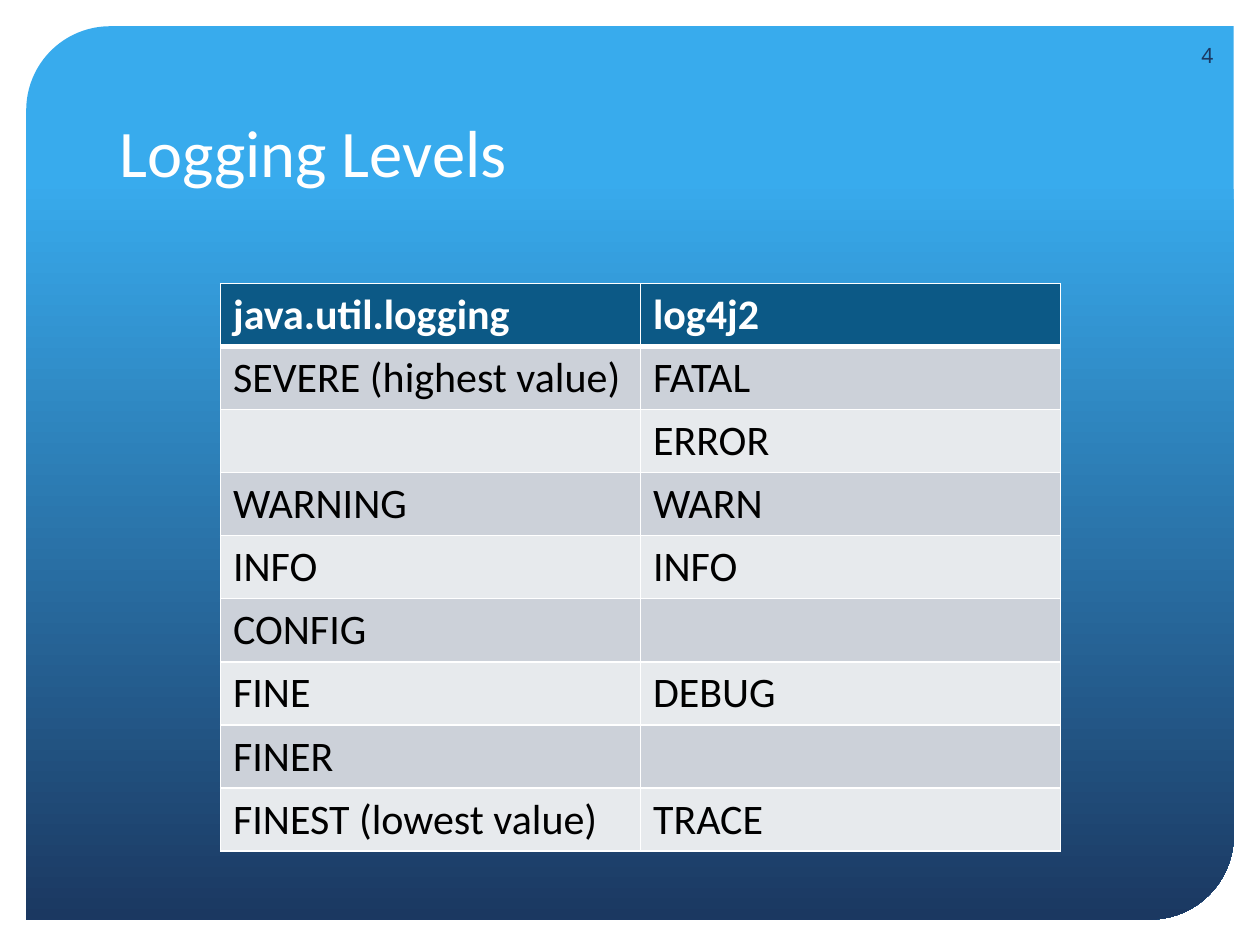
from lxml import etree
from pptx import Presentation
from pptx.dml.color import RGBColor
from pptx.enum.shapes import MSO_SHAPE
from pptx.enum.text import MSO_ANCHOR, PP_ALIGN
from pptx.oxml.ns import qn
from pptx.util import Pt

WHITE = RGBColor(0xFF, 0xFF, 0xFF)
BLACK = RGBColor(0, 0, 0)
SKY = RGBColor(0x38, 0xAB, 0xED)
NAVY = RGBColor(0x1B, 0x38, 0x61)
HEADER = RGBColor(0x0C, 0x59, 0x86)
BANDS = (RGBColor(0xCC, 0xD1, 0xD9), RGBColor(0xE7, 0xEA, 0xED))

LEVELS = [
    ("java.util.logging", "log4j2"),
    ("SEVERE (highest value)", "FATAL"),
    ("", "ERROR"),
    ("WARNING", "WARN"),
    ("INFO", "INFO"),
    ("CONFIG", ""),
    ("FINE", "DEBUG"),
    ("FINER", ""),
    ("FINEST (lowest value)", "TRACE"),
]


def write(frame, text, size, color, font="Calibri", bold=False, align=PP_ALIGN.LEFT):
    paragraph = frame.paragraphs[0]
    paragraph.alignment = align
    if text:
        run = paragraph.add_run()
        run.text = text
        run.font.name, run.font.size, run.font.bold = font, Pt(size), bold
        run.font.color.rgb = color


def add_panel(slide):
    panel = slide.shapes.add_shape(
        MSO_SHAPE.ROUND_2_DIAG_RECTANGLE, Pt(15), Pt(15), Pt(690), Pt(510.5))
    panel.adjustments[0], panel.adjustments[1] = 0.094, 0
    panel.shadow.inherit = False
    panel.line.fill.background()
    panel.fill.gradient()
    panel.fill.gradient_angle = 270
    for stop, color, position in zip(panel.fill.gradient_stops, (SKY, NAVY), (0.17, 1)):
        stop.color.rgb, stop.position = color, position
    # Send behind the title
    panel.element.getparent().insert(2, panel.element)


def add_title(slide, text):
    title = slide.shapes.title
    title.left, title.top, title.width, title.height = Pt(61), Pt(30), Pt(597), Pt(82.5)
    title.text_frame.vertical_anchor = MSO_ANCHOR.BOTTOM
    write(title.text_frame, text, 38, WHITE)


def add_page_number(slide, text):
    box = slide.shapes.add_textbox(Pt(661.5), Pt(17.5), Pt(39), Pt(28.5))
    box.text_frame.word_wrap = True
    box.text_frame.vertical_anchor = MSO_ANCHOR.MIDDLE
    write(box.text_frame, text, 12, NAVY, "Noto Sans", align=PP_ALIGN.RIGHT)


def set_borders(cell, widths):
    """Draw white borders; widths maps each side tag to points."""
    properties = cell._tc.get_or_add_tcPr()
    for index, (side, width) in enumerate(widths.items()):
        line = etree.Element(qn("a:" + side), w=str(Pt(width)))
        fill = etree.SubElement(line, qn("a:solidFill"))
        etree.SubElement(fill, qn("a:srgbClr"), val=str(WHITE))
        properties.insert(index, line)


def add_table(slide, rows):
    table = slide.shapes.add_table(
        len(rows), 2, Pt(126), Pt(162), Pt(480), Pt(29.2 * len(rows))).table
    for r, row in enumerate(rows):
        header = r == 0
        for c, text in enumerate(row):
            cell = table.cell(r, c)
            cell.fill.solid()
            cell.fill.fore_color.rgb = HEADER if header else BANDS[(r - 1) % 2]
            write(cell.text_frame, text, 24, WHITE if header else BLACK, bold=header)
            set_borders(cell, {"lnL": 1, "lnR": 1, "lnT": 3 if r == 1 else 1,
                               "lnB": 3 if header else 1})


def main():
    deck = Presentation()
    deck.slide_width, deck.slide_height = Pt(720), Pt(540)
    slide = deck.slides.add_slide(deck.slide_layouts[5])
    # Backdrop and headings
    add_panel(slide)
    add_title(slide, "Logging Levels")
    add_page_number(slide, "4")
    # Level comparison
    add_table(slide, LEVELS)
    deck.save("out.pptx")


main()
